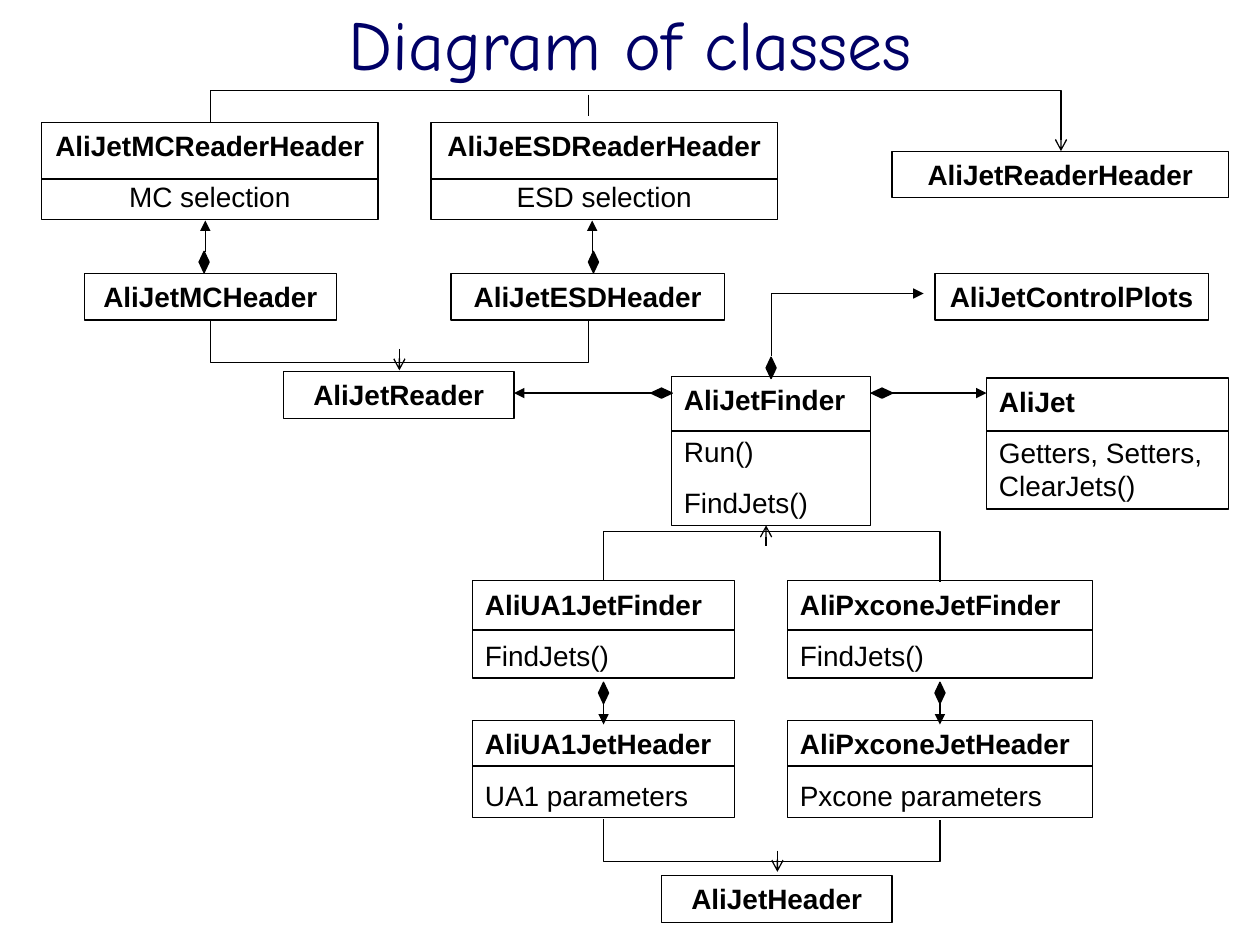
from lxml.etree import SubElement
from pptx import Presentation
from pptx.dml.color import RGBColor
from pptx.enum.shapes import MSO_CONNECTOR, MSO_SHAPE
from pptx.enum.text import MSO_ANCHOR, MSO_AUTO_SIZE, PP_ALIGN
from pptx.oxml.ns import qn
from pptx.util import Inches, Pt

BLACK, NAVY = "000000", "000066"


def color(value):
    return RGBColor.from_string(value)


def write_text(paragraph, text, *, font="Arial", size=16, fill=BLACK, bold=False,
               align=PP_ALIGN.LEFT, space_before=0):
    paragraph.alignment = align
    paragraph.space_before = Pt(space_before)
    run = paragraph.add_run()
    run.text = text
    run.font.name = font
    run.font.size = Pt(size)
    run.font.bold = bold
    run.font.color.rgb = color(fill)


class ClassDiagram:
    """Draws class boxes and their relations on one slide."""

    line_color = BLACK
    line_width = 0.75

    def __init__(self, slide):
        self.slide = slide

    def style_line(self, line):
        line.color.rgb = color(self.line_color)
        line.width = Pt(self.line_width)

    def title(self, text):
        shape = self.slide.shapes.title
        shape.left, shape.top = Inches(0.5), Inches(0.17)
        shape.width, shape.height = Inches(9), Inches(0.33)
        frame = shape.text_frame
        frame.auto_size = MSO_AUTO_SIZE.NONE
        frame.vertical_anchor = MSO_ANCHOR.MIDDLE
        write_text(frame.paragraphs[0], text, font="Comic Neue", size=40, fill=NAVY,
                   align=PP_ALIGN.CENTER)

    def class_box(self, left, top, width, name, members=(), *, align=PP_ALIGN.LEFT,
                  height=None, divider=None):
        """Add a box whose height follows its number of members unless given."""
        height = height or 0.37 + 0.4 * len(members)
        shape = self.slide.shapes.add_shape(
            MSO_SHAPE.RECTANGLE, Inches(left), Inches(top), Inches(width), Inches(height))
        shape.shadow.inherit = False
        shape.fill.background()
        self.style_line(shape.line)
        frame = shape.text_frame
        frame.word_wrap = True
        frame.auto_size = MSO_AUTO_SIZE.SHAPE_TO_FIT_TEXT
        frame.vertical_anchor = MSO_ANCHOR.TOP
        for index, text in enumerate((name, *members)):
            paragraph = frame.add_paragraph() if index else frame.paragraphs[0]
            write_text(paragraph, text, bold=index == 0, align=align, space_before=10)
        if divider:
            self.line((left, divider), (left + width, divider))

    def diamond(self, center_x, center_y, rotation=0):
        width, height = 0.08, 0.17
        shape = self.slide.shapes.add_shape(
            MSO_SHAPE.DIAMOND, Inches(center_x - width / 2), Inches(center_y - height / 2),
            Inches(width), Inches(height))
        shape.rotation = rotation
        shape.shadow.inherit = False
        shape.fill.solid()
        shape.fill.fore_color.rgb = color(self.line_color)
        self.style_line(shape.line)

    def line(self, start, end, arrow=None, kind=MSO_CONNECTOR.STRAIGHT):
        connector = self.slide.shapes.add_connector(
            kind, *(Inches(value) for value in (*start, *end)))
        self.style_line(connector.line)
        if arrow:
            SubElement(connector.line._get_or_add_ln(), qn("a:tailEnd"), type=arrow)
        SubElement(connector._element.spPr, qn("a:effectLst"))
        return connector

    def turned_elbow(self, start, end, arrow, rotation, flips):
        """Add an elbow that leaves its start vertically."""
        (x1, y1), (x2, y2) = start, end
        connector = self.line(start, end, arrow, MSO_CONNECTOR.ELBOW)
        width, height = abs(y2 - y1), abs(x2 - x1)
        connector.left = Inches((x1 + x2 - width) / 2)
        connector.top = Inches((y1 + y2 - height) / 2)
        connector.width, connector.height = Inches(width), Inches(height)
        transform = connector._element.spPr.find(qn("a:xfrm"))
        transform.set("rot", str(rotation * 60000))
        for flip in ("flipH", "flipV"):
            transform.set(flip, "1" if flip in flips else "0")
        return connector._element.spPr.find(qn("a:prstGeom"))

    def bracket(self, start, end, rail, arrow=None):
        """Join two points through a horizontal rail above or below them."""
        geometry = self.turned_elbow(start, end, arrow, 270, ("flipH",))
        ratio = (rail - start[1]) / (end[1] - start[1])
        guides = geometry.find(qn("a:avLst"))
        if guides is None:
            guides = SubElement(geometry, qn("a:avLst"))
        SubElement(guides, qn("a:gd"), name="adj1", fmla=f"val {round(ratio * 100000)}")

    def corner(self, start, end, arrow):
        """Go up from the start, then right to the end."""
        geometry = self.turned_elbow(start, end, arrow, 90, ("flipH", "flipV"))
        geometry.set("prst", "bentConnector2")


def main():
    presentation = Presentation()
    presentation.slide_width, presentation.slide_height = Inches(10), Inches(7.5)
    slide = presentation.slides.add_slide(presentation.slide_layouts[5])
    diagram = ClassDiagram(slide)
    diagram.title("Diagram of classes")

    for left, width, name, member in (
            (0.33, 2.67, "AliJetMCReaderHeader", "MC selection"),
            (3.42, 2.75, "AliJeESDReaderHeader", "ESD selection")):
        diagram.class_box(left, 0.97, width, name, [member], align=PP_ALIGN.CENTER,
                          divider=1.42)
    for left, top, width, name in (
            (7.08, 1.2, 2.67, "AliJetReaderHeader"),
            (0.67, 2.17, 2, "AliJetMCHeader"),
            (3.58, 2.17, 2.17, "AliJetESDHeader"),
            (7.42, 2.17, 2.17, "AliJetControlPlots"),
            (2.25, 2.95, 1.83, "AliJetReader"),
            (5.25, 6.95, 1.83, "AliJetHeader")):
        diagram.class_box(left, top, width, name, align=PP_ALIGN.CENTER)
    diagram.class_box(5.33, 2.99, 1.58, "AliJetFinder", ["Run()", "FindJets()"],
                      height=1.18, divider=3.42)
    diagram.class_box(7.83, 3, 1.92, "AliJet", ["Getters, Setters, ClearJets()"],
                      height=1.04, divider=3.42)

    # Each jet algorithm has a finder above its header
    for left, width, algorithm, center in ((3.75, 2.08, "UA1", 4.79),
                                           (6.25, 2.42, "Pxcone", 7.46)):
        diagram.class_box(left, 4.61, width, f"Ali{algorithm}JetFinder", ["FindJets()"],
                          divider=5)
        diagram.class_box(left, 5.72, width, f"Ali{algorithm}JetHeader",
                          [f"{algorithm} parameters"], divider=6.08)
        diagram.diamond(center, 5.5)
        diagram.line((center, 5.58), (center, 5.75), "triangle")

    # Compositions
    for diamond_x, arrow_x in ((1.62, 1.63), (4.71, 4.7)):
        diagram.diamond(diamond_x, 2.08)
        diagram.line((arrow_x, 2), (arrow_x, 1.75), "triangle")
    for diamond_x, start, end in ((5.25, 5.17, 4.08), (7, 7.08, 7.83)):
        diagram.diamond(diamond_x, 3.12, rotation=90)
        diagram.line((start, 3.12), (end, 3.12), "triangle")
    diagram.diamond(6.12, 2.92)
    diagram.corner((6.12, 2.83), (7.33, 2.33), "triangle")

    # Inheritance
    diagram.bracket((1.67, 0.97), (8.42, 1.2), 0.72, "arrow")
    diagram.line((4.67, 0.75), (4.67, 0.92))
    for left, right, top, rail in ((1.67, 4.67, 2.54, 2.88),
                                   (4.79, 7.46, 4.61, 4.21),
                                   (4.79, 7.46, 6.5, 6.84)):
        diagram.bracket((left, top), (right, top + 0.01), rail)
    for x, start, end in ((3.17, 2.77, 2.94), (6.08, 4.33, 4.17), (6.17, 6.75, 6.92)):
        diagram.line((x, start), (x, end), "arrow")

    presentation.save("out.pptx")


if __name__ == "__main__":
    main()
